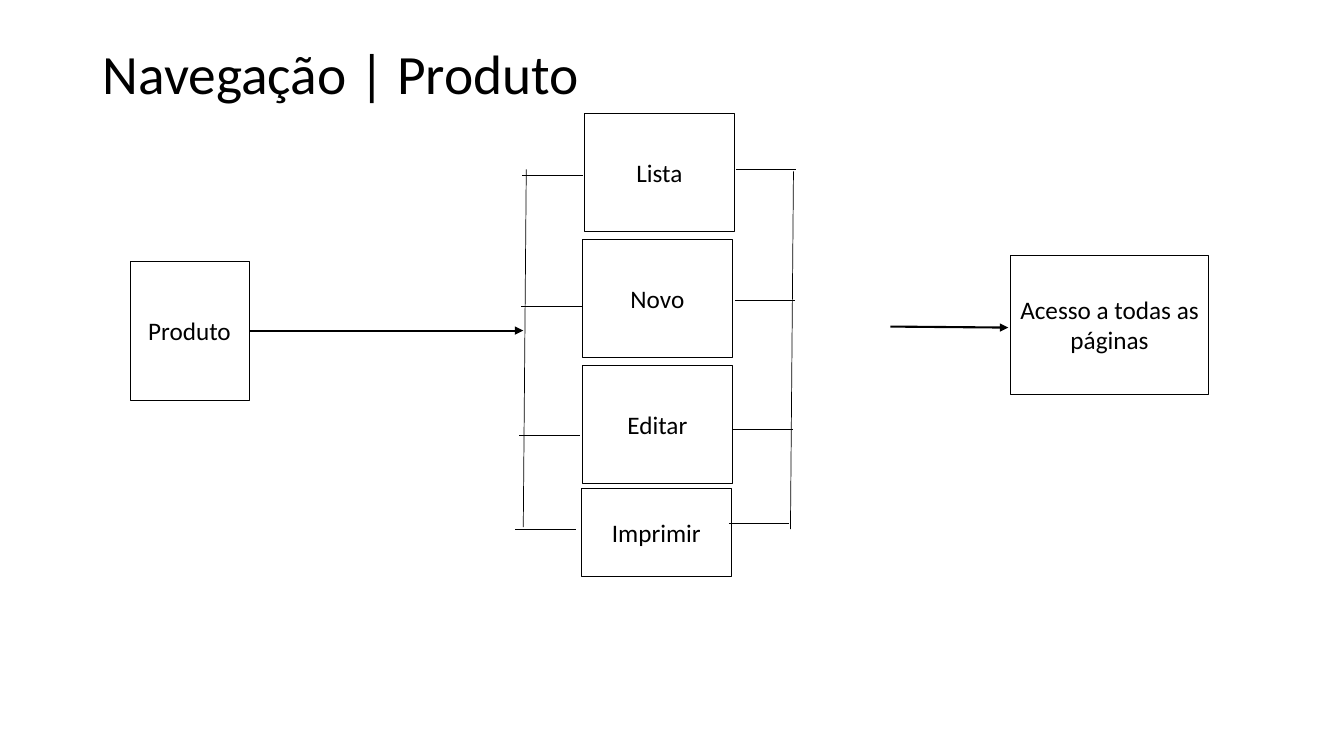
import pptx
import pptx.util
import pptx.dml.color
import pptx.enum.shapes
import pptx.enum.text
import pptx.oxml.ns
import lxml.etree

Inches, Pt = pptx.util.Inches, pptx.util.Pt
INK = "000000"


def paint(color_format, hex_color):
    """Set a colour format to a hex colour."""
    color_format.rgb = pptx.dml.color.RGBColor.from_string(hex_color)


def draw_line(start, end, width=0.5, arrow=False):
    """Draw a straight line, with an arrowhead at its end if asked."""
    line = slide.shapes.add_connector(
        pptx.enum.shapes.MSO_CONNECTOR.STRAIGHT,
        *[Inches(value) for value in (*start, *end)])
    line.line.width = Pt(width)
    paint(line.line.color, INK)
    properties = line._element.spPr
    if arrow:
        outline = line.line._get_or_add_ln()
        lxml.etree.SubElement(
            outline, pptx.oxml.ns.qn("a:tailEnd"), type="triangle")
    lxml.etree.SubElement(properties, pptx.oxml.ns.qn("a:effectLst"))


presentation = pptx.Presentation()
presentation.slide_width = Inches(13.33)
presentation.slide_height = Inches(7.5)
slide = presentation.slides.add_slide(presentation.slide_layouts[5])

# Title
title = slide.shapes.title
title.left, title.top = Inches(0.92), Inches(0.4)
title.width, title.height = Inches(11.5), Inches(0.72)
title.text_frame.text = "Navegação | Produto"
title.text_frame.vertical_anchor = pptx.enum.text.MSO_ANCHOR.MIDDLE
heading = title.text_frame.paragraphs[0]
heading.alignment = pptx.enum.text.PP_ALIGN.LEFT
heading.line_spacing = 0.9
heading_font = heading.runs[0].font
heading_font.name, heading_font.size = "Calibri", Pt(39.6)
paint(heading_font.color, INK)

# Pages: start, the four product pages, destination
pages = [
    ("Produto", 1.29, 2.59, 1.18, 1.38),
    ("Lista", 5.8, 1.12, 1.48, 1.18),
    ("Novo", 5.78, 2.37, 1.48, 1.18),
    ("Editar", 5.78, 3.62, 1.48, 1.18),
    ("Imprimir", 5.77, 4.84, 1.48, 0.88),
    ("Acesso a todas as páginas", 10.02, 2.53, 1.97, 1.38),
]
for label, *bounds in pages:
    page = slide.shapes.add_shape(
        pptx.enum.shapes.MSO_SHAPE.RECTANGLE,
        *[Inches(value) for value in bounds])
    page.shadow.inherit = False
    page.fill.background()
    page.line.width = Pt(0.5)
    paint(page.line.color, INK)
    page.text_frame.word_wrap = True
    page.text_frame.vertical_anchor = pptx.enum.text.MSO_ANCHOR.MIDDLE
    page.text_frame.text = label
    caption = page.text_frame.paragraphs[0]
    caption.alignment = pptx.enum.text.PP_ALIGN.CENTER
    caption_font = caption.runs[0].font
    caption_font.name, caption_font.size = "Calibri", Pt(18)
    paint(caption_font.color, INK)

# Brackets: the right one repeats the left one, shifted
branch_starts = [(5.18, 1.74), (5.17, 3.04), (5.15, 4.32), (5.11, 5.25)]
for shift_x, shift_y in [(0, 0), (2.12, -0.06)]:
    for x, y in branch_starts:
        left, level = x + shift_x, y + shift_y
        draw_line((left, level), (left + 0.6, level))
draw_line((5.22, 1.68), (5.19, 5.23))
draw_line((7.87, 1.7), (7.84, 5.25))

# Arrows into the pages and out to the destination
draw_line((2.47, 3.28), (5.19, 3.28), width=1.5, arrow=True)
draw_line((8.83, 3.24), (10, 3.25), width=1.5, arrow=True)

presentation.save("out.pptx")
